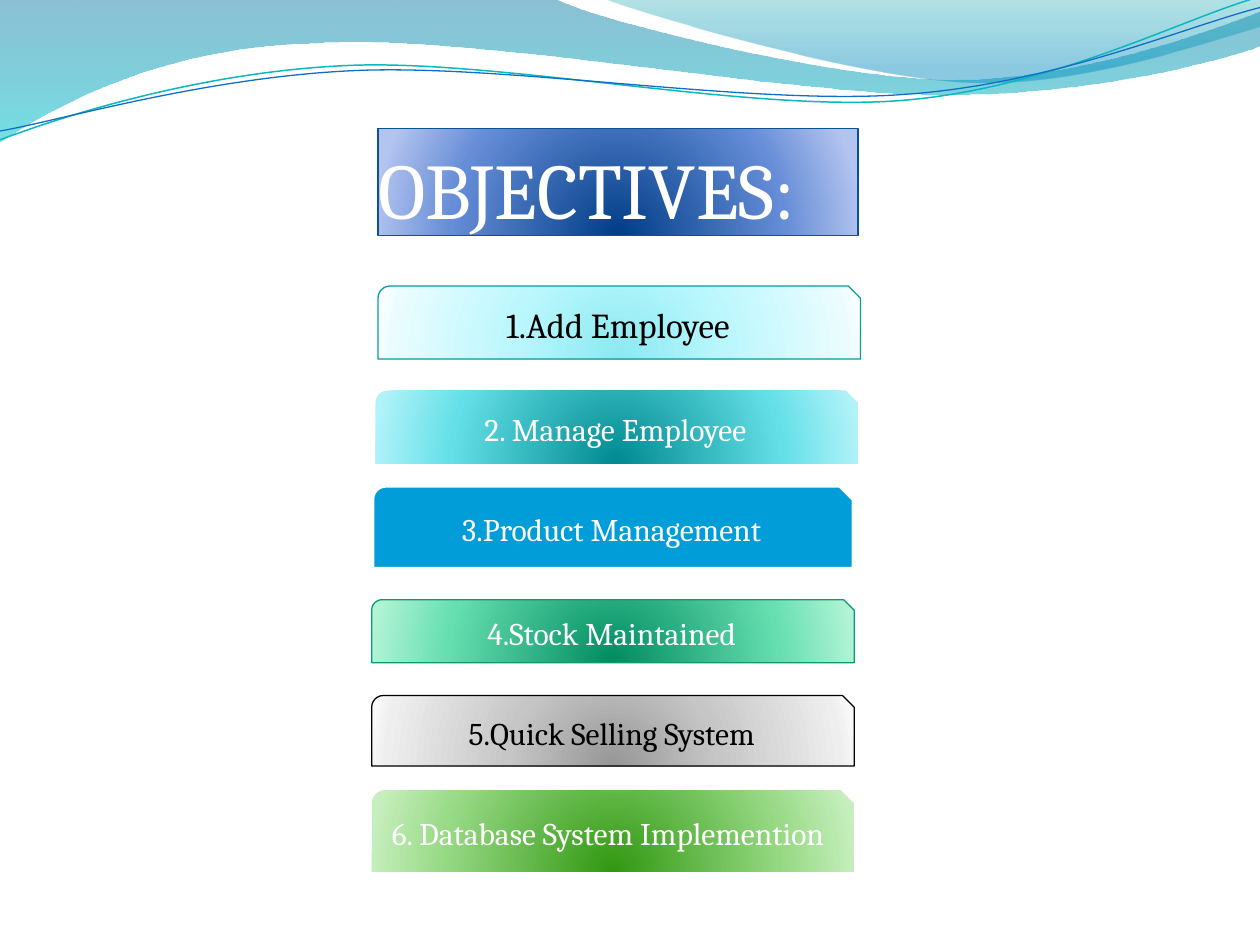
from lxml.etree import SubElement
from pptx import Presentation
from pptx.dml.color import RGBColor
from pptx.enum.shapes import MSO_SHAPE as Shape
from pptx.enum.text import MSO_ANCHOR as Anchor, MSO_AUTO_SIZE as AutoSize, PP_ALIGN as Align
from pptx.oxml.ns import qn
from pptx.util import Inches, Pt

FONT = "Cambria"
WHITE = RGBColor(0xFF, 0xFF, 0xFF)
BLACK = RGBColor(0x00, 0x00, 0x00)
NAVY = RGBColor(0x09, 0x52, 0x95)
TEAL = RGBColor(0x06, 0x9C, 0xA3)
GREEN = RGBColor(0x0A, 0x9B, 0x74)
SKY = RGBColor(0x00, 0x9D, 0xD9)
WAVE_TEAL = RGBColor(0x0A, 0xB8, 0xBF)
WAVE_BLUE = RGBColor(0x0F, 0x6F, 0xC6)


def stops(*pairs):
    """Gradient stops from (position %, hex colour, optional opacity %)."""
    return [(pos, RGBColor.from_string(color), *alpha) for pos, color, *alpha in pairs]


# Wave outlines: two numbers are a straight step, six are a cubic curve.
WAVE_BANDS = [
    ([(0, 0), (4.4, -0.01), (4.76, 0.17, 6.64, 0.63, 7.58, 0.63),
      (8.53, 0.63, 9.58, 0.26, 10, 0.09), (10.01, 0.36),
      (9.83, 0.44, 8.7, 0.76, 7.46, 0.75), (6.22, 0.75, 3.82, 0.28, 2.57, 0.34),
      (1.29, 0.36, 0.46, 0.83, -0.01, 1.13), (0, 0)],
     stops((0, "0074A1", 45), (100, "00C6CF", 55))),
    ([(4.79, -0.01), (5.09, 0.11, 6.82, 0.62, 7.69, 0.65),
      (8.56, 0.69, 9.61, 0.32, 10, 0.21), (10, 0), (4.79, -0.01)],
     stops((0, "00A1A9", 30), (80, "008BBF", 45))),
]
WAVE_LINES = [
    ([(0, 1.11), (0.48, 0.93, 1.58, 0.57, 2.77, 0.52),
      (3.95, 0.47, 5.93, 0.89, 7.13, 0.8), (8.33, 0.71, 9.38, 0.15, 9.98, -0.02)],
     WAVE_TEAL, 0.85),
    ([(0, 1.04), (0.47, 0.96, 1.64, 0.61, 2.83, 0.56),
      (4.03, 0.51, 5.97, 0.84, 7.17, 0.75), (8.36, 0.67, 9.41, 0.21, 10, 0.06)],
     WAVE_BLUE, 0.75),
]

TITLE = "OBJECTIVES:"
TITLE_FILL = stops((0, "003D87"), (68, "668DD7"), (100, "B3C4EF"))

# Text, left, top, height, fill, (line colour, width), text colour, size
# Listed from back to front.
OBJECTIVES = [
    ("1.Add Employee", 3, 2.27, 0.58,
     stops((0, "8BE9F1"), (43, "B9F7FD"), (93, "EAFCFE"), (100, "F8FEFF")),
     (TEAL, 0.75), BLACK, 20),
    ("4.Stock Maintained", 2.95, 4.76, 0.5,
     stops((0, "008C60"), (68, "65DEB0"), (100, "B2F4D6")), (GREEN, 0.75), WHITE, 18),
    ("2. Manage Employee", 2.98, 3.1, 0.58,
     stops((0, "008A91"), (68, "64DFE7"), (100, "B1F3F9")), None, WHITE, 18),
    ("3.Product Management", 2.95, 3.85, 0.67, SKY, (WHITE, 3), WHITE, 18),
    ("5.Quick Selling System", 2.95, 5.52, 0.56,
     stops((0, "979797"), (43, "C6C6C6"), (93, "EEEEEE"), (100, "F9F9F9")),
     (BLACK, 0.75), BLACK, 18),
    ("6. Database System Implemention ", 2.95, 6.27, 0.65,
     stops((0, "319811"), (68, "95D882"), (100, "C6EFBD")), None, WHITE, 18),
]
BAR_WIDTH = 3.83
FIRST_WAVE_ID = 100


def set_gradient(shape, colors, radial):
    """Fill with a top-down gradient, or a radial one centred below the shape."""
    shape.fill.background()
    properties = shape._element.spPr
    empty = properties.find(qn("a:noFill"))
    gradient = SubElement(properties, qn("a:gradFill"), rotWithShape="1")
    properties.replace(empty, gradient)
    stop_list = SubElement(gradient, qn("a:gsLst"))
    for position, color, *alpha in colors:
        stop = SubElement(stop_list, qn("a:gs"), pos=str(position * 1000))
        node = SubElement(stop, qn("a:srgbClr"), val=str(color))
        if alpha:
            SubElement(node, qn("a:alpha"), val=str(alpha[0] * 1000))
    if radial:
        circle = SubElement(gradient, qn("a:path"), path="circle")
        SubElement(circle, qn("a:fillToRect"), l="50000", t="130000", r="50000", b="-30000")
    else:
        SubElement(gradient, qn("a:lin"), ang="5400000", scaled="0")


def style(shape, fill=None, line=None, radial=True):
    shape.shadow.inherit = False
    if fill is None:
        shape.fill.background()
    elif isinstance(fill, RGBColor):
        shape.fill.solid()
        shape.fill.fore_color.rgb = fill
    else:
        set_gradient(shape, fill, radial)
    if line:
        color, width = line
        shape.line.color.rgb = color
        shape.line.width = Pt(width)
    else:
        shape.line.fill.background()


def write(shape, text, size, color, align=Align.CENTER, anchor=Anchor.MIDDLE):
    frame = shape.text_frame
    frame.word_wrap = True
    frame.auto_size = AutoSize.NONE
    frame.vertical_anchor = anchor
    para = frame.paragraphs[0]
    para.alignment = align
    span = para.add_run()
    span.text = text
    span.font.name = FONT
    span.font.size = Pt(size)
    span.font.color.rgb = color


def add_wave(slide, outline):
    """Build the outline through its end points, then bend the curved steps."""
    ends = [(Inches(step[-2]), Inches(step[-1])) for step in outline]
    builder = slide.shapes.build_freeform(*ends[0])
    builder.add_line_segments(ends[1:], close=outline[0] == outline[-1])
    wave = builder.convert_to_shape()
    segments = list(wave._element.iter(qn("a:lnTo")))
    for segment, step in zip(segments, outline[1:]):
        if len(step) == 6:
            segment.tag = qn("a:cubicBezTo")
            segment.remove(segment[0])
            for x, y in zip(step[::2], step[1::2]):
                SubElement(segment, qn("a:pt"), x=str(Inches(x) - wave.left),
                           y=str(Inches(y) - wave.top))
    return wave


def add_waves(slide):
    """Draw the decoration and hand it to the slide master."""
    waves = []
    for outline, colors in WAVE_BANDS:
        waves.append(add_wave(slide, outline))
        style(waves[-1], colors, radial=False)
    for outline, color, width in WAVE_LINES:
        waves.append(add_wave(slide, outline))
        style(waves[-1], line=(color, width))
    master_tree = slide.slide_layout.slide_master.shapes._spTree
    for number, wave in enumerate(waves, FIRST_WAVE_ID):
        wave._element.nvSpPr.cNvPr.set("id", str(number))
        master_tree.append(wave._element)


def add_title(slide):
    title = slide.shapes.title
    title.left, title.top = Inches(3), Inches(1.02)
    title.width, title.height = Inches(3.81), Inches(0.85)
    style(title, TITLE_FILL, (NAVY, 0.75))
    write(title, TITLE, 45, WHITE, align=Align.LEFT, anchor=Anchor.BOTTOM)
    frame = title.text_frame
    frame.margin_left = frame.margin_right = frame.margin_bottom = 0
    frame.margin_top = Inches(0.05)


def main():
    deck = Presentation()
    deck.slide_width, deck.slide_height = Inches(10), Inches(7.5)
    slide = deck.slides.add_slide(deck.slide_layouts[5])
    add_waves(slide)
    add_title(slide)
    for text, left, top, height, fill, line, color, size in OBJECTIVES:
        bar = slide.shapes.add_shape(Shape.SNIP_ROUND_RECTANGLE, Inches(left), Inches(top),
                                     Inches(BAR_WIDTH), Inches(height))
        style(bar, fill, line)
        write(bar, text, size, color)
    deck.save("out.pptx")


if __name__ == "__main__":
    main()
